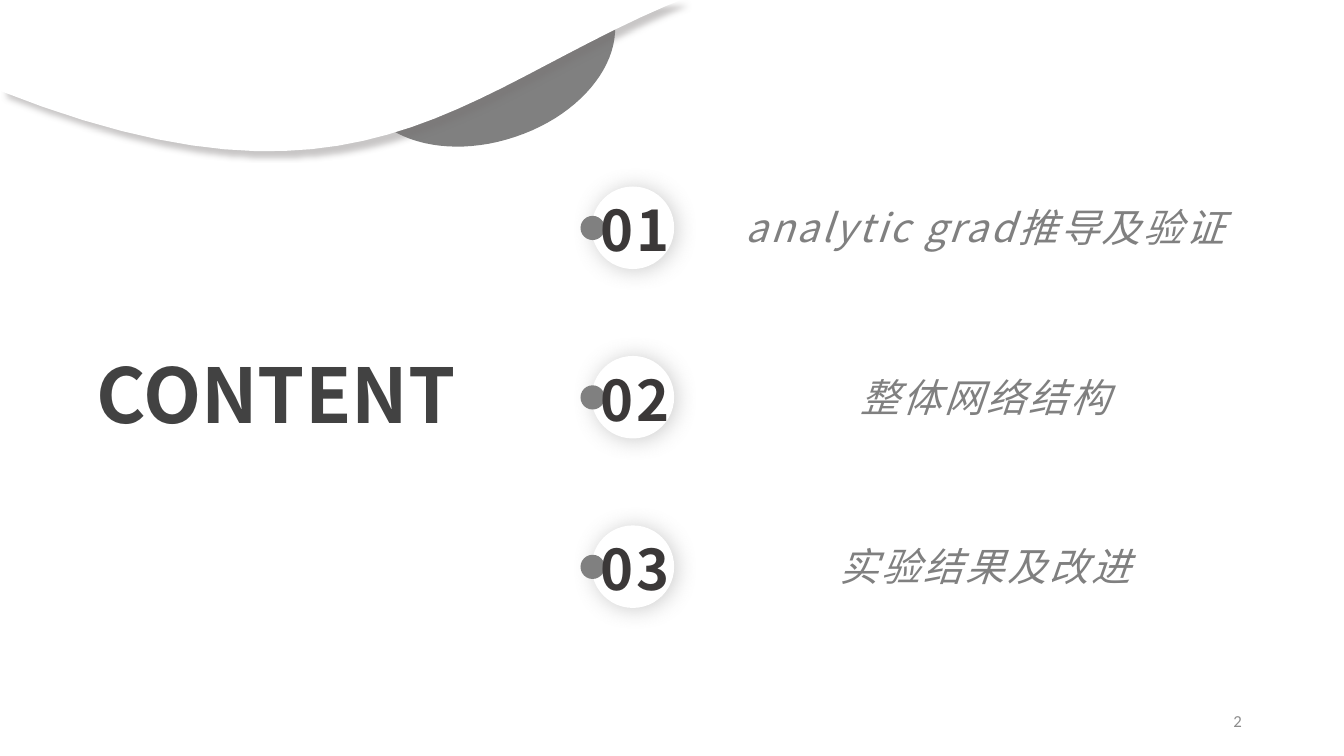
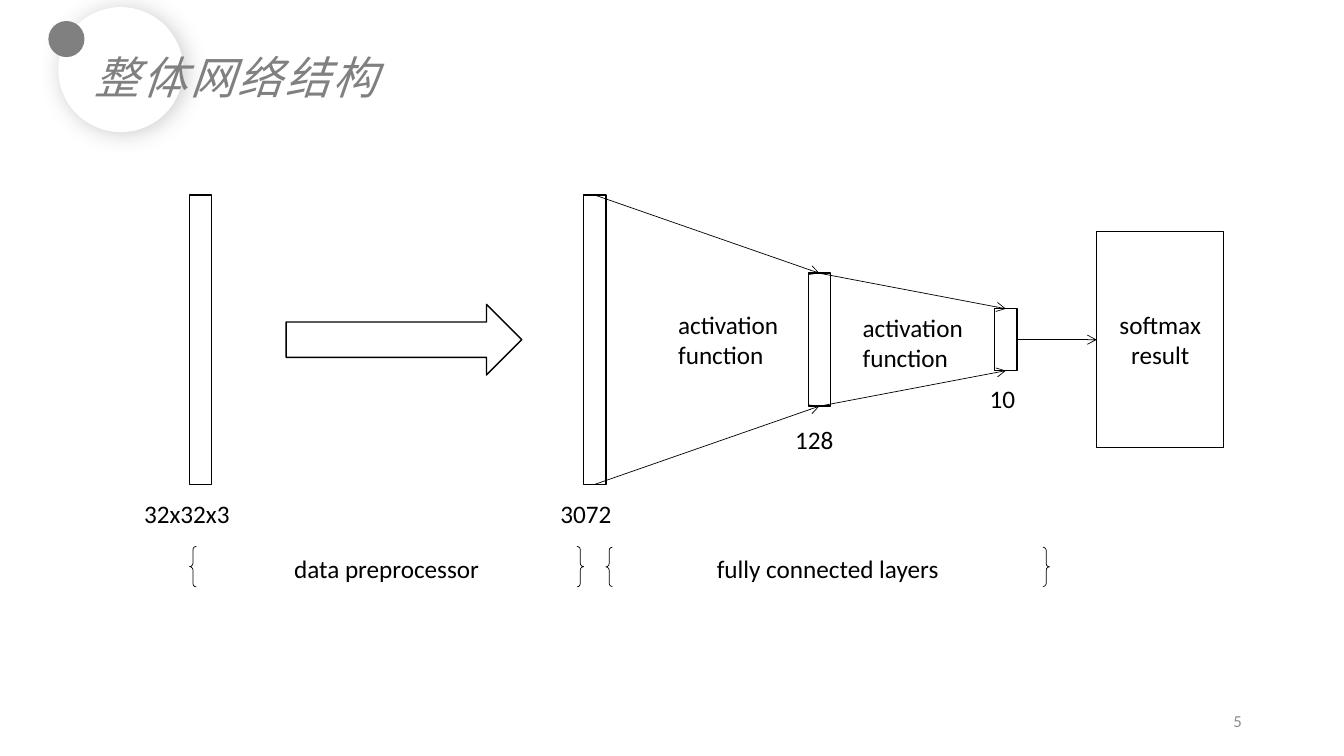
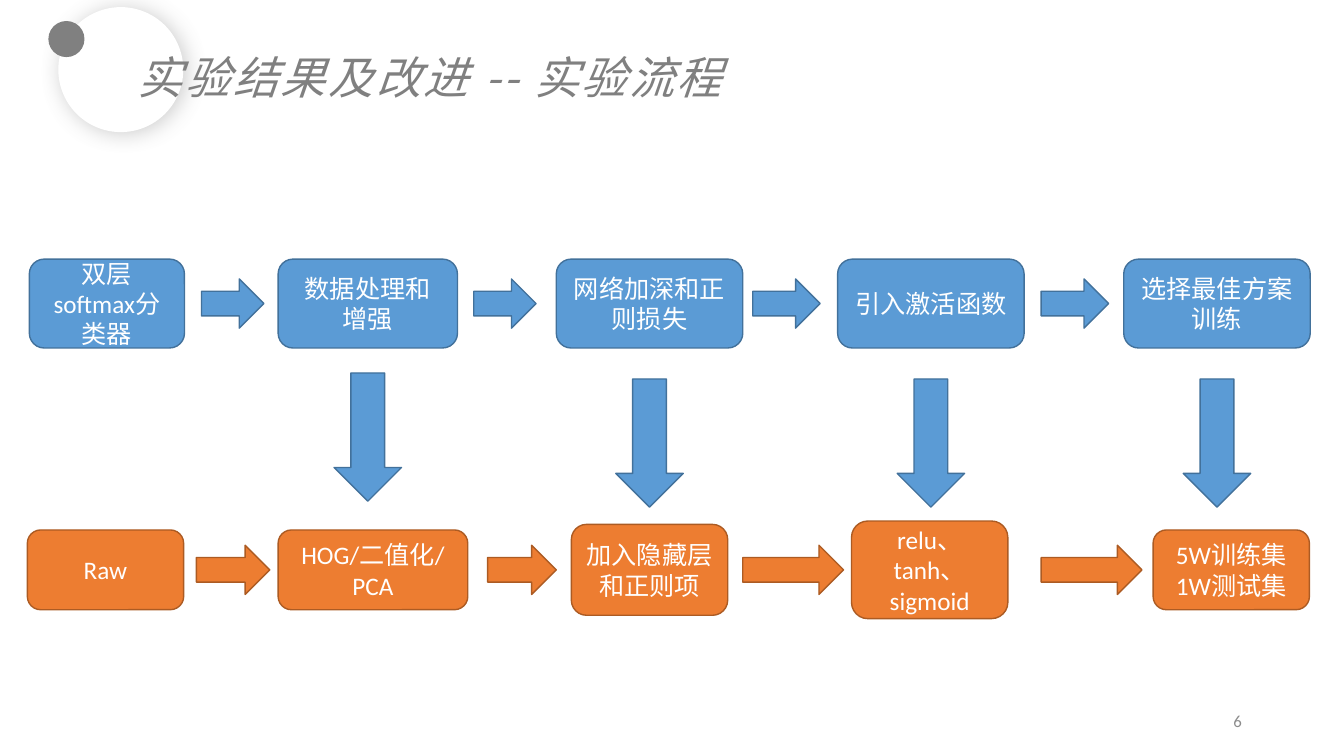
"""Build three slides on a softmax network: contents, structure and experiment flow."""
from lxml.etree import SubElement
from pptx import Presentation
from pptx.dml.color import RGBColor
from pptx.enum.shapes import MSO_CONNECTOR, MSO_SHAPE
from pptx.enum.text import MSO_ANCHOR, MSO_AUTO_SIZE, PP_ALIGN
from pptx.oxml.ns import qn
from pptx.util import Cm, Pt

COLORS = {
    "white": "FFFFFF", "black": "000000", "gray": "808080", "heading": "424242",
    "number": "3B3838", "page": "8C8C8C", "wave": "767171",
    "blue": "5B9BD5", "blue_line": "42719B", "orange": "ED7D31", "orange_line": "AC5B23",
}
LATIN, CJK = "Calibri", "Noto Sans CJK SC"
DISC_SHADOW = ("gray", 16, 2, 30)
WAVE_SHADOW = ("wave", 4, 6, 45)

BODY = {"size": 18, "color": "black"}
CENTERED = {**BODY, "align": PP_ALIGN.CENTER, "anchor": MSO_ANCHOR.MIDDLE}
STEP = {**CENTERED, "color": "white"}
PAGE = {"size": 12, "color": "page", "align": PP_ALIGN.RIGHT, "anchor": MSO_ANCHOR.MIDDLE}
HEADING = {"size": 54, "color": "heading", "font": CJK, "bold": True, "grow": True, "wrap": False}
TIGHT = {"font": CJK, "spacing": 2, "inset": 0, "anchor": MSO_ANCHOR.MIDDLE, "grow": True}
NUMBER = {**TIGHT, "size": 40, "color": "number", "bold": True, "align": PP_ALIGN.CENTER}
TITLE = {**TIGHT, "size": 32, "color": "gray", "italic": True}
ITEM = {**TITLE, "size": 28, "align": PP_ALIGN.CENTER}
LABEL = {**BODY, "grow": True}

CONTENTS = ["analytic grad推导及验证", "整体网络结构", "实验结果及改进"]
CAP = [
    [(9.88, 0)], [(15.34, 0)], [(15.42, 0.2)],
    [(15.82, 1.42), (14.73, 2.87), (12.98, 3.45)],
    [(11.23, 4.04), (9.47, 3.53), (9.07, 2.31)],
    [(8.81, 1.55), (9.14, 0.69), (9.86, 0.03)],
]
WAVE = [[(0, 0)], [(17.17, 0)], [(16.79, 0.15)], [(11.53, 2.41), (8.94, 5.82), (0, 2.29)]]

AXIS, BAR_W = 8.56, 0.56
BARS = [(5.05, 7.29), (14.99, 7.29), (20.65, 3.35), (25.35, 1.56)]
LABELS = [
    ("32x32x3", (3.38, 12.42, 3.38, 1.02), True),
    ("3072", (13.87, 12.42, 2.24, 1.02), True),
    ("128", (19.79, 10.57, 1.73, 1.02), False),
    ("10", (24.69, 9.53, 1.32, 1.02), False),
    ("activation function", (16.84, 7.67, 3.81, 1.8), True),
    ("activation function", (21.49, 7.75, 3.81, 1.8), True),
]
STAGES = [
    ("data preprocessor", (4.78, 13.77, 9.93, 1.02)),
    ("fully connected layers", (15.27, 13.79, 11.18, 0.99)),
]
RESULT = (27.64, 5.84, 3.2, 5.44)

FLOWS = [
    ("blue", 7.65, [
        ("双层softmax分类器", 0.74, 3.91, 2.24),
        ("数据处理和增强", 7.01, 4.52, 2.24),
        ("网络加深和正则损失", 14.02, 4.7, 2.24),
        ("引入激活函数", 21.11, 4.7, 2.24),
        ("选择最佳方案训练", 28.32, 4.7, 2.24),
    ], [(5.08, 1.57), (11.94, 1.57), (18.97, 1.7), (26.24, 1.7)]),
    ("orange", 14.36, [
        ("Raw", 0.69, 3.94, 2.01),
        ("HOG/二值化/PCA", 7.01, 4.78, 2.01),
        ("加入隐藏层和正则项", 14.4, 3.94, 2.29),
        ("relu、tanh、 sigmoid", 21.46, 3.94, 2.46),
        ("5W训练集\n1W测试集", 29.06, 3.94, 2.01),
    ], [(4.95, 1.85), (12.29, 1.73), (18.72, 2.54), (26.24, 2.54)]),
]
ARROW_H = 1.24
DOWN_W, DOWN_H = 1.7, 3.23
DOWN_TOPS = [9.4, 9.55, 9.55, 9.55]


def rgb(name):
    return RGBColor.from_string(COLORS[name])


def write(sp, text, fmt):
    tf = sp.text_frame
    tf.word_wrap = fmt.get("wrap", True)
    tf.vertical_anchor = fmt.get("anchor", MSO_ANCHOR.TOP)
    if fmt.get("grow"):
        tf.auto_size = MSO_AUTO_SIZE.SHAPE_TO_FIT_TEXT
    if "inset" in fmt:
        for side in ("left", "top", "right", "bottom"):
            setattr(tf, f"margin_{side}", Cm(fmt["inset"]))
    for i, line in enumerate(text.split("\n")):
        p = tf.add_paragraph() if i else tf.paragraphs[0]
        p.alignment = fmt.get("align", PP_ALIGN.LEFT)
        r = p.add_run()
        r.text = line
        values = {"name": fmt.get("font", LATIN), "size": Pt(fmt["size"]),
                  "bold": fmt.get("bold"), "italic": fmt.get("italic")}
        for key, value in values.items():
            setattr(r.font, key, value)
        r.font.color.rgb = rgb(fmt["color"])
        rPr = r.font._element
        SubElement(rPr, qn("a:ea"), typeface=CJK)
        if "spacing" in fmt:
            rPr.set("spc", str(fmt["spacing"] * 100))


def add_text(s, text, at, fmt):
    write(s.shapes.add_textbox(*map(Cm, at)), text, fmt)


def paint(sp, fill=None, line=None, width=1, shadow=None):
    if fill:
        sp.fill.solid()
        sp.fill.fore_color.rgb = rgb(fill)
    else:
        sp.fill.background()
    if line:
        sp.line.color.rgb = rgb(line)
        sp.line.width = Pt(width)
    else:
        sp.line.fill.background()
    sp.shadow.inherit = False
    if shadow:
        color, blur, dist, angle = shadow
        effects = sp._element.spPr.find(qn("a:effectLst"))
        outer = SubElement(effects, qn("a:outerShdw"), blurRad=str(Pt(blur)), dist=str(Pt(dist)),
                           dir=str(angle * 60000), algn="ctr", rotWithShape="0")
        tint = SubElement(outer, qn("a:srgbClr"), val=COLORS[color])
        SubElement(tint, qn("a:alpha"), val="40000")


def add_box(s, kind, at, **look):
    sp = s.shapes.add_shape(kind, *map(Cm, at))
    paint(sp, **look)
    return sp


def add_arrow(s, start, end):
    c = s.shapes.add_connector(MSO_CONNECTOR.STRAIGHT, *map(Cm, start + end))
    c.line.color.rgb = rgb("black")
    c.line.width = Pt(0.5)
    SubElement(c.line._get_or_add_ln(), qn("a:tailEnd"), type="arrow")
    SubElement(c._element.spPr, qn("a:effectLst"))


def add_outline(s, steps, count=24, **look):
    points = []
    for step in steps:
        if len(step) == 1:
            points += step
            continue
        curve = [points[-1], *step]
        for t in (i / count for i in range(1, count + 1)):
            weights = ((1 - t) ** 3, 3 * t * (1 - t) ** 2, 3 * t * t * (1 - t), t ** 3)
            points.append(tuple(sum(w * pt[k] for w, pt in zip(weights, curve)) for k in (0, 1)))
    corners = [(Cm(x), Cm(y)) for x, y in points]
    builder = s.shapes.build_freeform(*corners[0])
    builder.add_line_segments(corners[1:])
    paint(builder.convert_to_shape(), **look)


def add_marker(s, disc, dot):
    for (x, y, size), look in ((disc, {"fill": "white", "shadow": DISC_SHADOW}),
                               (dot, {"fill": "gray"})):
        add_box(s, MSO_SHAPE.OVAL, (x, y, size, size), **look)


def new_slide(prs, number):
    s = prs.slides.add_slide(prs.slide_layouts[6])
    add_text(s, str(number), (23.93, 17.65, 7.62, 1.02), PAGE)
    return s


def titled_slide(prs, number, title, width, align):
    s = new_slide(prs, number)
    add_marker(s, (1.47, 0.18, 3.15), (1.22, 0.53, 0.91))
    add_text(s, title, (2.39, 1.24, width, 1.37), {**TITLE, "align": align})
    return s


def contents_slide(prs):
    s = new_slide(prs, 2)
    add_outline(s, CAP, fill="gray")
    add_text(s, "CONTENT", (2.18, 8.64, 10.13, 2.57), HEADING)
    add_outline(s, WAVE, fill="white", shadow=WAVE_SHADOW)
    for i, item in enumerate(CONTENTS):
        top = 4.7 + 4.27 * i
        add_marker(s, (14.91, top, 2.08), (14.63, top + 0.74, 0.61))
        add_text(s, f"{i + 1:02}", (14.55, top + 0.23, 2.92, 1.7), NUMBER)
        add_text(s, item, (16.84, top + 0.43, 15.98, 1.19), ITEM)


def network_slide(prs):
    s = titled_slide(prs, 5, CONTENTS[1], 13.72, PP_ALIGN.LEFT)
    solid = {"fill": "white", "line": "black"}
    for x, h in BARS:
        add_box(s, MSO_SHAPE.RECTANGLE, (x - BAR_W / 2, AXIS - h / 2, BAR_W, h), **solid)
    for (x1, h1), (x2, h2) in zip(BARS[1:], BARS[2:]):
        for half in (-0.5, 0.5):
            add_arrow(s, (x1, AXIS + half * h1), (x2, AXIS + half * h2))
    add_box(s, MSO_SHAPE.RIGHT_ARROW, (7.21, 7.67, 5.94, 1.78), **solid)
    for text, at, wrap in LABELS:
        add_text(s, text, at, {**LABEL, "wrap": wrap})
    for text, at in STAGES:
        write(add_box(s, MSO_SHAPE.DOUBLE_BRACE, at, line="black", width=0.5), text, CENTERED)
    write(add_box(s, MSO_SHAPE.RECTANGLE, RESULT, **solid), "softmax\nresult", CENTERED)
    add_arrow(s, (BARS[-1][0] + BAR_W / 2, AXIS), (RESULT[0], AXIS))


def flow_slide(prs):
    s = titled_slide(prs, 6, f"{CONTENTS[2]} -- 实验流程", 16.89, PP_ALIGN.CENTER)
    for color, middle, steps, arrows in FLOWS:
        look = {"fill": color, "line": f"{color}_line"}
        for text, x, w, h in steps:
            at = (x, middle - h / 2, w, h)
            write(add_box(s, MSO_SHAPE.ROUNDED_RECTANGLE, at, **look), text, STEP)
        for x, w in arrows:
            add_box(s, MSO_SHAPE.RIGHT_ARROW, (x, middle - ARROW_H / 2, w, ARROW_H), **look)
    for (_, x, w, _), top in zip(FLOWS[0][2][1:], DOWN_TOPS):
        at = (x + (w - DOWN_W) / 2, top, DOWN_W, DOWN_H)
        add_box(s, MSO_SHAPE.DOWN_ARROW, at, fill="blue", line="blue_line")


prs = Presentation()
prs.slide_width, prs.slide_height = Cm(33.87), Cm(19.05)
contents_slide(prs)
network_slide(prs)
flow_slide(prs)
prs.save("out.pptx")
